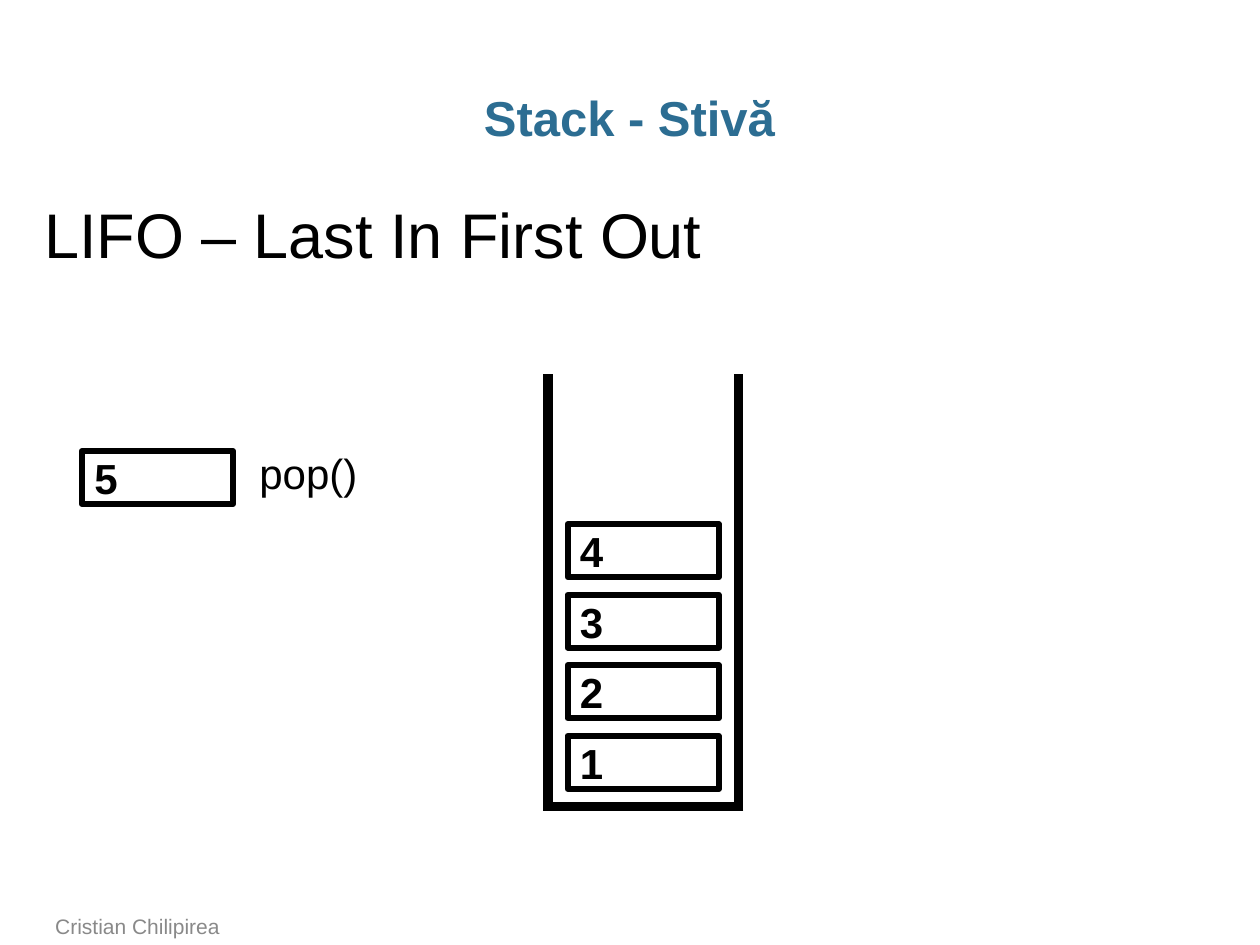
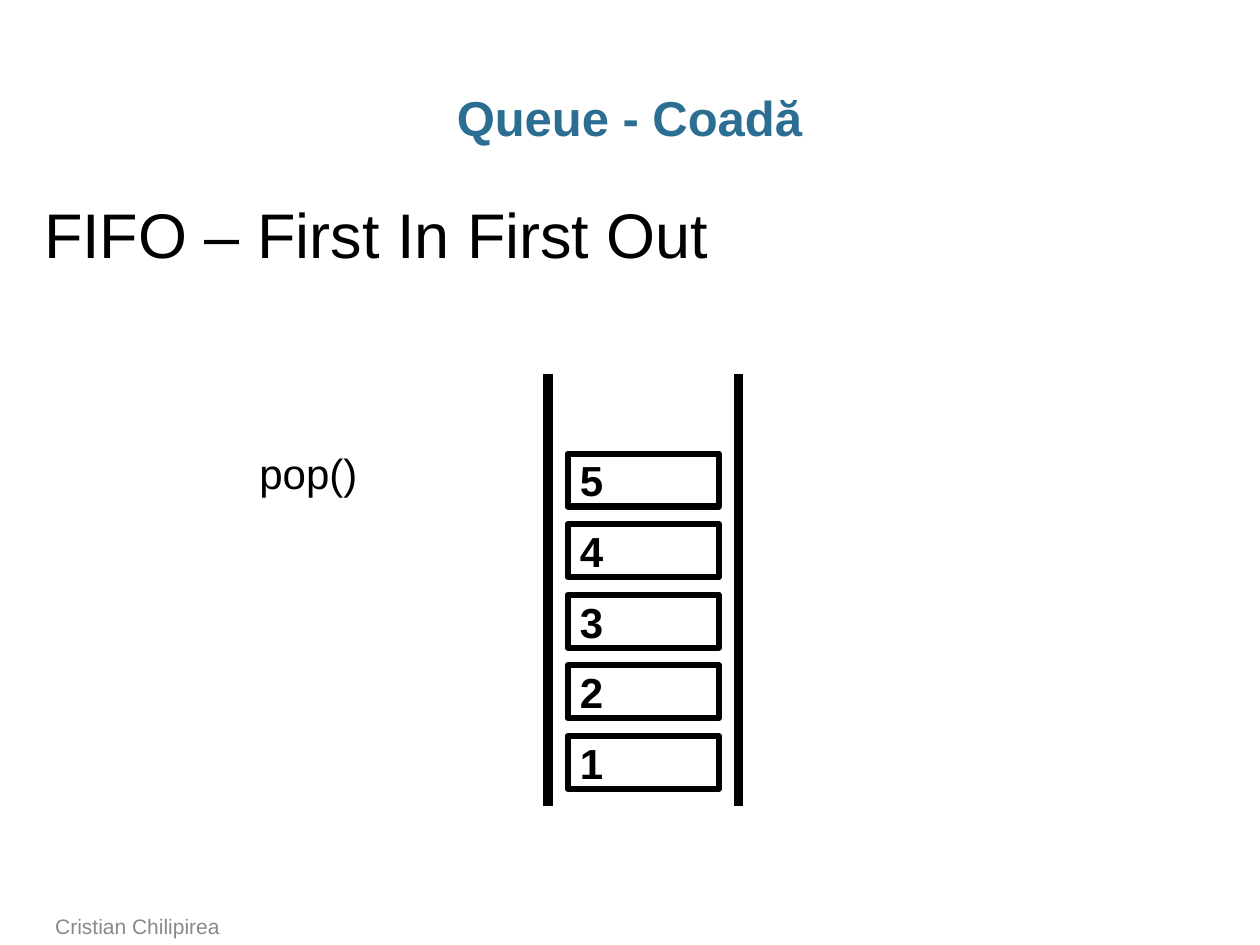
from collections import namedtuple

from lxml.etree import SubElement
from pptx import Presentation
from pptx.dml.color import RGBColor
from pptx.enum.shapes import MSO_CONNECTOR as Connector, MSO_SHAPE as Shape
from pptx.enum.text import MSO_ANCHOR as Anchor, MSO_AUTO_SIZE as AutoSize, PP_ALIGN as Align
from pptx.oxml.ns import qn
from pptx.util import Inches, Pt

COLORS = {"title": "2C6D92", "ink": "000000", "footer": "898989"}
FONT = "Arial"
COLUMNS, ROWS = 100, 75
CELL = Inches(0.1)
BLANK_LAYOUT = 6

Box = namedtuple("Box", "left top width height")
TITLE = Box(3.4, 6.8, 93.1, 5)
HEADLINE = Box(3.5, 14.5, 60.8, 8.4)
FOOTER = Box(3.4, 72.2, 73.7, 2.8)
POP = Box(6.5, 35, 23, 5)
CONTAINER = Box(43.5, 29.7, 15.1, 34.3)
ITEM_WIDTH, ITEM_HEIGHT, ITEM_PITCH = 12, 4.2, 5.6


def cells(*lengths):
    """Turn grid lengths into slide units."""
    return [round(length * CELL) for length in lengths]


def color(name):
    """Look up a named colour."""
    return RGBColor.from_string(COLORS[name])


def write(shape, text, size, ink="ink", bold=False, align=Align.LEFT):
    """Put one styled paragraph into a shape and return it."""
    paragraph = shape.text_frame.paragraphs[0]
    paragraph.text = text
    paragraph.alignment = align
    font = paragraph.font
    font.name, font.size, font.bold = FONT, Pt(size), bold
    font.color.rgb = color(ink)
    return paragraph


def add_text(slide, box, text, size, side_inset=0.1, top_inset=0.05, anchor=Anchor.TOP, **style):
    """Add a wrapping text box and return its paragraph."""
    shape = slide.shapes.add_textbox(*cells(*box))
    frame = shape.text_frame
    frame.word_wrap = True
    frame.vertical_anchor = anchor
    frame.margin_left = frame.margin_right = Inches(side_inset)
    frame.margin_top = Inches(top_inset)
    return write(shape, text, size, **style)


def add_wall(slide, start, end):
    """Draw one thick wall of the container."""
    wall = slide.shapes.add_connector(Connector.STRAIGHT, *cells(*start, *end))
    wall.line.color.rgb = color("ink")
    wall.line.width = Pt(5.5)
    SubElement(wall._element.spPr, qn("a:effectLst"))


def add_item(slide, left, top, number):
    """Draw one numbered element."""
    item = slide.shapes.add_shape(Shape.RECTANGLE, *cells(left, top, ITEM_WIDTH, ITEM_HEIGHT))
    item.shadow.inherit = False
    item.fill.background()
    item.line.color.rgb = color("ink")
    item.line.width = Pt(3.5)
    item.text_frame.vertical_anchor = Anchor.MIDDLE
    write(item, str(number), 24, bold=True)


def add_container(slide, box, count, closed):
    """Draw the walls and pile the elements from the bottom up."""
    right, bottom = box.left + box.width, box.top + box.height
    for x in (box.left, right):
        add_wall(slide, (x, box.top), (x, bottom))
    if closed:
        add_wall(slide, (right + 0.4, bottom), (box.left - 0.4, bottom))
    left = box.left + (box.width - ITEM_WIDTH) / 2
    for index in range(count):
        add_item(slide, left, bottom - (index + 1) * ITEM_PITCH, index + 1)


def add_pop(slide, box, popped=None):
    """Place the operation label and, if any, the element it took out."""
    label = slide.shapes.add_textbox(*cells(box.left + 13.1, box.top, 9.9, box.height))
    label.text_frame.word_wrap = False
    label.text_frame.auto_size = AutoSize.SHAPE_TO_FIT_TEXT
    write(label, "pop()", 24)
    if popped is not None:
        add_item(slide, box.left, box.top + 0.8, popped)


def add_structure_slide(presentation, title, headline, count, closed, popped=None):
    """Build one slide that explains a data structure."""
    slide = presentation.slides.add_slide(presentation.slide_layouts[BLANK_LAYOUT])
    paragraph = add_text(slide, TITLE, title, 28, side_inset=0,
                         ink="title", bold=True, align=Align.CENTER)
    paragraph.line_spacing = 0.95
    add_text(slide, HEADLINE, headline, 36, side_inset=0, top_inset=0.1)
    add_text(slide, FOOTER, "Cristian Chilipirea", 12, anchor=Anchor.BOTTOM, ink="footer")
    add_pop(slide, POP, popped)
    add_container(slide, CONTAINER, count, closed)


def main():
    """Build and save the presentation."""
    presentation = Presentation()
    presentation.slide_width, presentation.slide_height = cells(COLUMNS, ROWS)
    add_structure_slide(presentation, "Stack - Stivă", "LIFO – Last In First Out",
                        count=4, closed=True, popped=5)
    add_structure_slide(presentation, "Queue - Coadă", "FIFO – First In First Out",
                        count=5, closed=False)
    presentation.save("out.pptx")


if __name__ == "__main__":
    main()
